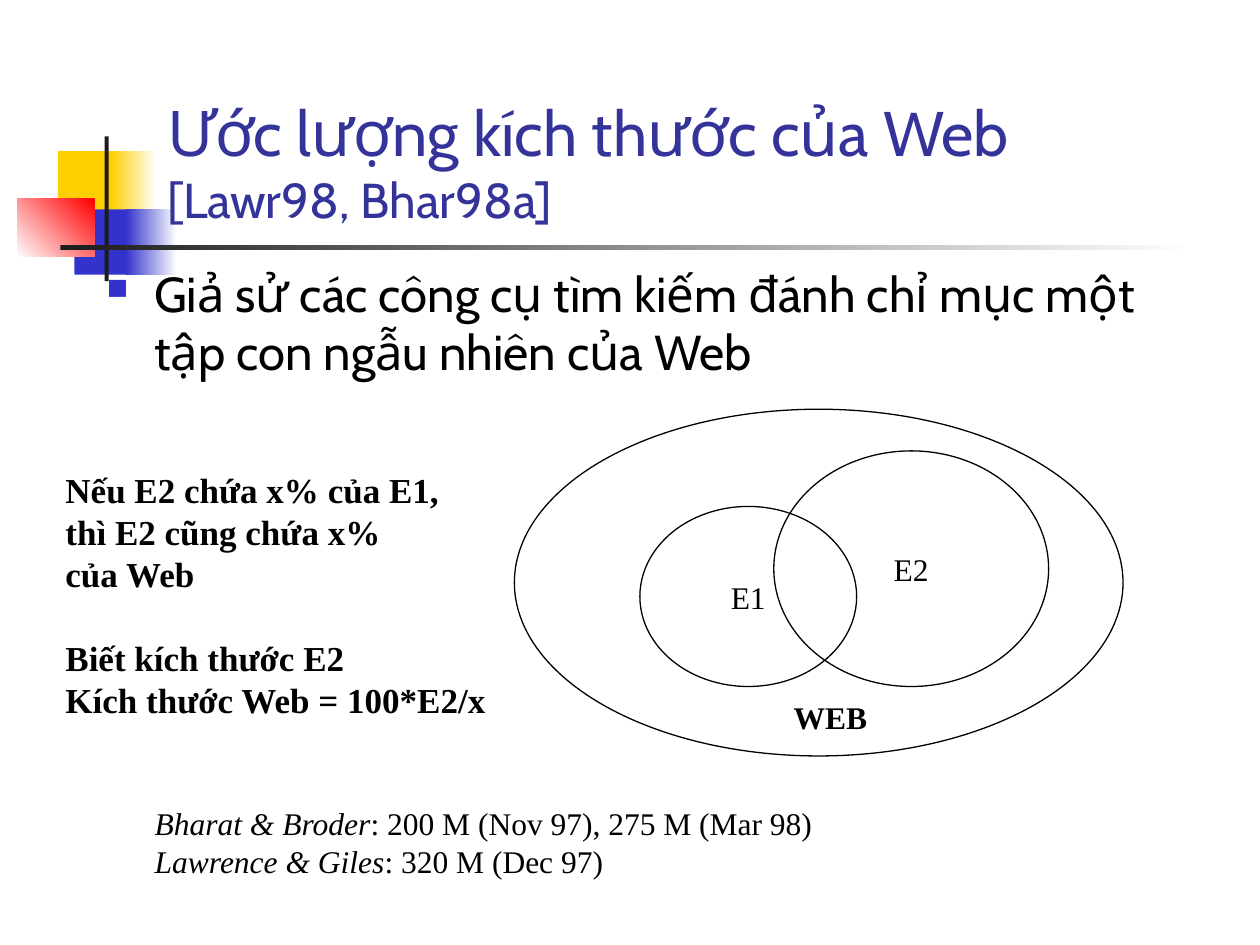
from lxml.etree import SubElement
from pptx import Presentation
from pptx.dml.color import RGBColor
from pptx.enum.shapes import MSO_SHAPE as Preset
from pptx.enum.text import MSO_ANCHOR as Anchor, PP_ALIGN as Align
from pptx.oxml.ns import qn
from pptx.util import Cm, Pt

HEADING_FONT, BODY_FONT = "Cabin", "Times New Roman"
BLACK, WHITE, CHARCOAL = "000000", "FFFFFF", "1C1C1C"
YELLOW, BLUE, RED, INDIGO = "FFCF01", "3333CC", "FF0000", "333399"


def color(hex_string):
    return RGBColor.from_string(hex_string)


class SlideBuilder:
    """Holds the current slide and draws in the style of the deck."""

    def __init__(self, slide):
        self.slide = slide
        self.target = slide.shapes

    def group(self):
        """Send the elements that follow into a new group."""
        self.target = self.slide.shapes.add_group_shape().shapes

    def ungroup(self):
        self.target = self.slide.shapes

    def shape(self, preset, box, fill=None, line=None):
        shape = self.target.add_shape(preset, *map(Cm, box))
        shape.shadow.inherit = False
        if fill:
            shape.fill.solid()
            shape.fill.fore_color.rgb = color(fill)
        else:
            shape.fill.background()
        if line:
            shape.line.color.rgb = color(line)
            shape.line.width = Pt(0.75)
        else:
            shape.line.fill.background()
        return shape

    def bar(self, box, fill):
        return self.shape(Preset.RECTANGLE, box, fill)

    def fade(self, box, start, end, angle=0):
        bar = self.bar(box, start)
        bar.fill.gradient()
        bar.fill.gradient_angle = angle
        for stop, shade in zip(bar.fill.gradient_stops, (start, end)):
            stop.color.rgb = color(shade)

    def ellipse(self, box, label=None, fill=None):
        oval = self.shape(Preset.OVAL, box, fill, BLACK)
        if label:
            frame = oval.text_frame
            frame.text = label
            frame.word_wrap = False
            frame.vertical_anchor = Anchor.MIDDLE
            frame.paragraphs[0].alignment = Align.CENTER
            self.style(frame, 18)

    def style(self, frame, size, font=BODY_FONT, shade=BLACK, bold=False):
        for paragraph in frame.paragraphs:
            for run in paragraph.runs:
                run.font.size = Pt(size)
                run.font.name = font
                run.font.color.rgb = color(shade)
                run.font.bold = bold

    def text(self, box, content, size, wrap=True, **look):
        frame = self.target.add_textbox(*map(Cm, box)).text_frame
        frame.text = content
        frame.word_wrap = wrap
        self.style(frame, size, **look)
        return frame

    def bullet(self, paragraph, mark, shade, percent, indent):
        props = paragraph._p.get_or_add_pPr()
        props.set("marL", str(Cm(indent)))
        props.set("indent", str(-Cm(indent)))
        bullet_color = SubElement(props, qn("a:buClr"))
        SubElement(bullet_color, qn("a:srgbClr"), val=shade)
        SubElement(props, qn("a:buSzPct"), val=str(percent * 1000))
        SubElement(props, qn("a:buChar"), char=mark)


def main():
    deck = Presentation()
    deck.slide_width, deck.slide_height = Cm(25.4), Cm(19.05)
    builder = SlideBuilder(deck.slides.add_slide(deck.slide_layouts[6]))

    # Corner ornament with its rules
    builder.bar((1.17, 3.05, 1.22, 1.32), YELLOW)
    builder.fade((2.24, 3.05, 0.91, 1.32), YELLOW, WHITE)
    builder.bar((1.5, 4.22, 1.17, 1.32), BLUE)
    builder.fade((2.54, 4.22, 1.02, 1.32), BLUE, WHITE)
    builder.fade((0.35, 4.01, 1.55, 1.17), WHITE, RED, 45)
    builder.bar((2.11, 2.75, 0.08, 2.92), CHARCOAL)
    builder.fade((1.22, 4.94, 22.86, 0.1), CHARCOAL, WHITE)

    # Title with its sources
    title = builder.text((3.12, 1.55, 21.59, 3.18),
                         "Ước lượng kích thước của Web\v[Lawr98, Bhar98a]",
                         36, font=HEADING_FONT, shade=INDIGO)
    title.vertical_anchor = Anchor.BOTTOM
    title.paragraphs[0].runs[1].font.size = Pt(28)

    # Assumption
    assumption = builder.text(
        (1.9, 5.18, 22.43, 11.13),
        "Giả sử các công cụ tìm kiếm đánh chỉ mục một tập con ngẫu nhiên của Web",
        28, font=HEADING_FONT).paragraphs[0]
    assumption.space_before = Pt(7)
    builder.bullet(assumption, "■", BLUE, 60, 0.96)

    # Reasoning: premise, then the size that follows from it
    reasoning = builder.text(
        (1.07, 9.32, 9.04, 5.33),
        "Nếu E2 chứa x% của E1,\nthì E2 cũng chứa x%\ncủa Web\n"
        "Biết kích thước E2\nKích thước Web = 100*E2/x",
        20, bold=True)
    reasoning.paragraphs[3].space_before = Pt(24)

    # Diagram of two overlapping indexes inside the web
    builder.group()
    builder.ellipse((10.37, 8.25, 12.27, 6.99))
    builder.ellipse((12.9, 10.21, 4.37, 3.63), "E1", WHITE)
    builder.ellipse((15.6, 9.09, 5.54, 4.75), "E2")
    builder.text((15.75, 13.94, 2.3, 1.02), "WEB", 18, bold=True)
    builder.ungroup()

    # Published estimates, authors in italics
    estimates = {"Bharat & Broder": ": 200 M (Nov 97), 275 M (Mar 98)",
                 "Lawrence & Giles": ": 320 M (Dec 97)"}
    published = builder.text((2.87, 16.08, 13.94, 1.78),
                             "\n".join(estimates), 18, wrap=False)
    for paragraph, figures in zip(published.paragraphs, estimates.values()):
        paragraph.runs[0].font.italic = True
        paragraph.add_run().text = figures
    builder.style(published, 18)

    deck.save("out.pptx")


if __name__ == "__main__":
    main()
